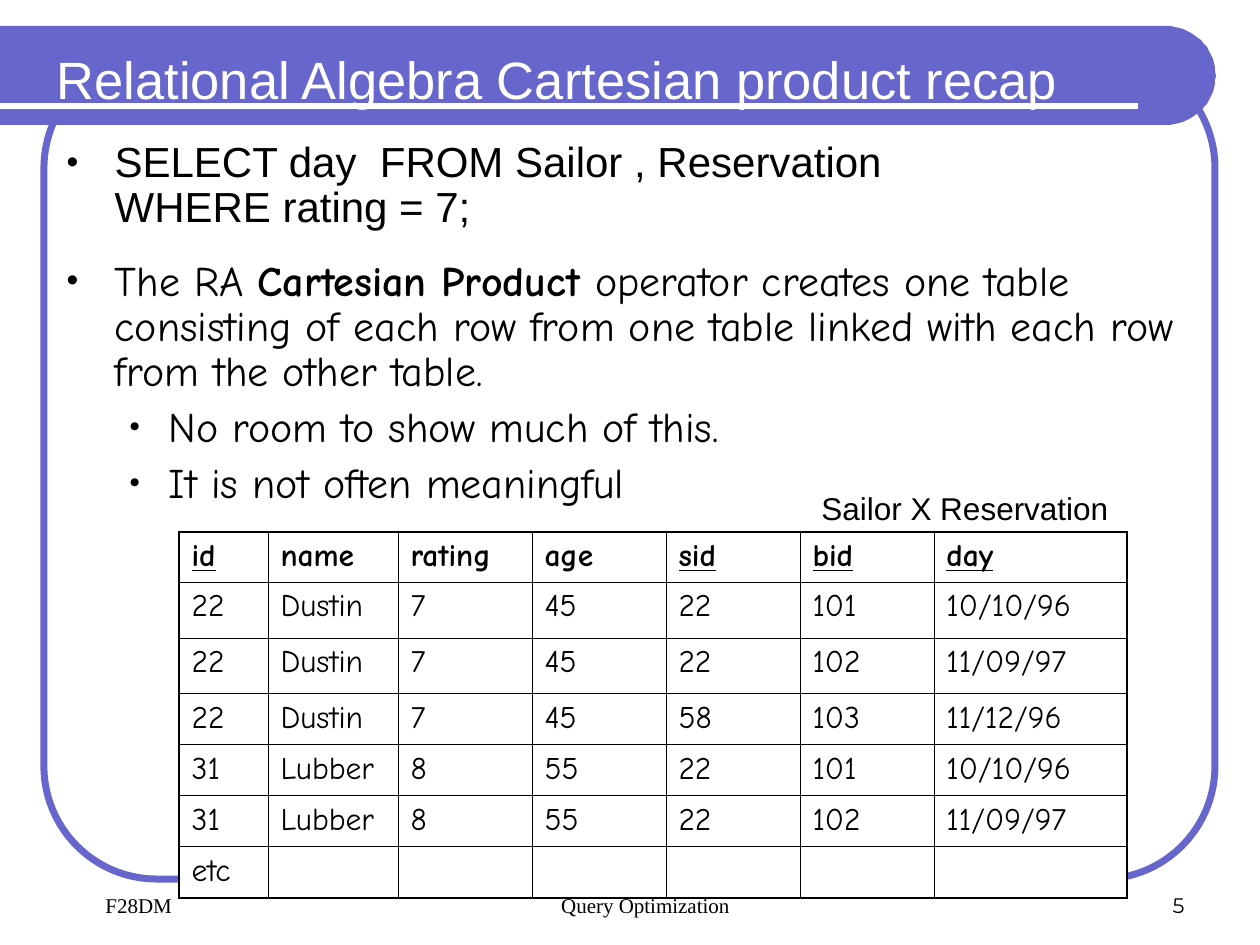
import math

import lxml.etree
import pptx
import pptx.dml.color
import pptx.enum.shapes
import pptx.enum.text
import pptx.oxml.ns
import pptx.util

COLORS = {"violet": "6666CC", "white": "FFFFFF", "black": "000000"}
RGB = {name: pptx.dml.color.RGBColor.from_string(code) for name, code in COLORS.items()}
PX = 914400 / 126
ALIGN = pptx.enum.text.PP_ALIGN
ANCHOR = pptx.enum.text.MSO_ANCHOR
Pt = pptx.util.Pt


def px(*lengths):
    """Turn pixel lengths into a list of EMU."""
    return [round(length * PX) for length in lengths]


def write(paragraph, text, color="black", **font_values):
    """Add text in one format, with a line break at each newline."""
    for number, line in enumerate(text.split("\n")):
        if number:
            paragraph.add_line_break()
        run = paragraph.add_run()
        run.text = line
        run.font.color.rgb = RGB[color]
        for name, value in font_values.items():
            setattr(run.font, name, value)


presentation = pptx.Presentation()
presentation.slide_width, presentation.slide_height = px(1260, 945)
slide = presentation.slides.add_slide(presentation.slide_layouts[1])
shapes = slide.shapes

# Frame, title band and rule
frame = shapes.add_shape(pptx.enum.shapes.MSO_SHAPE.ROUNDED_RECTANGLE, *px(44, 55, 1171, 824))
frame.adjustments[0] = 0.137
frame.shadow.inherit = False
frame.fill.background()
frame.line.color.rgb = RGB["violet"]
frame.line.width = Pt(4)

BAND_TOP, BAND_BOTTOM, ARC_X = 26, 125, 1166
radius = (BAND_BOTTOM - BAND_TOP) / 2
arc = [(ARC_X + radius * math.cos(math.radians(angle)),
        BAND_TOP + radius + radius * math.sin(math.radians(angle)))
       for angle in range(-90, 91, 5)]
outline = shapes.build_freeform(0, BAND_TOP, scale=PX)
outline.add_line_segments(arc + [(0, BAND_BOTTOM)], close=True)
band = outline.convert_to_shape()
band.shadow.inherit = False
band.fill.solid()
band.fill.fore_color.rgb = RGB["violet"]
band.line.fill.background()

rule = shapes.add_connector(pptx.enum.shapes.MSO_CONNECTOR.STRAIGHT, *px(0, 106, 1138, 106))
rule.line.color.rgb = RGB["white"]
rule.line.width = Pt(3)
lxml.etree.SubElement(rule.element.spPr, pptx.oxml.ns.qn("a:effectLst"))

# Title and list, brought in front of the band
title, body = slide.placeholders
for placeholder, place, anchor in (
    (title, (44, 32, 1091, 93), ANCHOR.MIDDLE),
    (body, (54, 135, 1152, 412), ANCHOR.TOP),
):
    shapes.element.append(placeholder.element)
    placeholder.left, placeholder.top, placeholder.width, placeholder.height = px(*place)
    placeholder.text_frame.vertical_anchor = anchor
    placeholder.text_frame.auto_size = pptx.enum.text.MSO_AUTO_SIZE.NONE

heading = title.text_frame.paragraphs[0]
heading.alignment = ALIGN.LEFT
write(heading, "Relational Algebra Cartesian product recap", "white", name="Arial", size=Pt(30))

BULLET_LEVELS = [
    {"margin": 48, "hang": 48, "percent": 80},
    {"margin": 102, "hang": 39, "percent": 70},
]
points = [
    (0, 0, "Arial", [("SELECT day  FROM Sailor , Reservation\nWHERE rating = 7;", False)]),
    (0, 16, "Comic Neue", [
        ("The RA ", False),
        ("Cartesian Product ", True),
        ("operator creates one table consisting of each row from one table "
         "linked with each row from the other table.", False),
    ]),
    (1, 6, "Comic Neue", [("No room to show much of this.", False)]),
    (1, 6, "Comic Neue", [("It is not often meaningful", False)]),
]
for number, (level, gap, font, parts) in enumerate(points):
    point = body.text_frame.add_paragraph() if number else body.text_frame.paragraphs[0]
    for name, value in {"level": level, "line_spacing": 0.9, "space_before": Pt(gap)}.items():
        setattr(point, name, value)
    bullet = BULLET_LEVELS[level]
    properties = point._p.get_or_add_pPr()
    margin, hang = px(bullet["margin"], bullet["hang"])
    properties.set("marL", str(margin))
    properties.set("indent", str(-hang))
    bullet_color = lxml.etree.SubElement(properties, pptx.oxml.ns.qn("a:buClr"))
    lxml.etree.SubElement(bullet_color, pptx.oxml.ns.qn("a:srgbClr"), val=COLORS["black"])
    lxml.etree.SubElement(properties, pptx.oxml.ns.qn("a:buSzPct"), val=str(bullet["percent"] * 1000))
    lxml.etree.SubElement(properties, pptx.oxml.ns.qn("a:buChar"), char="•")
    for text, bold in parts:
        write(point, text, name=font, size=Pt(24), bold=bold)

# Product table
rows = [
    ["id", "name", "rating", "age", "sid", "bid", "day"],
    ["22", "Dustin", "7", "45", "22", "101", "10/10/96"],
    ["22", "Dustin", "7", "45", "22", "102", "11/09/97"],
    ["22", "Dustin", "7", "45", "58", "103", "11/12/96"],
    ["31", "Lubber", "8", "55", "22", "101", "10/10/96"],
    ["31", "Lubber", "8", "55", "22", "102", "11/09/97"],
    ["etc", "", "", "", "", "", ""],
]
KEYS = {"id", "sid", "bid", "day"}
column_widths = [89, 130, 134, 134, 134, 134, 193]
row_heights = [50, 56, 56, 51, 51, 51, 51]
product = shapes.add_table(len(rows), len(column_widths),
                           *px(179, 532, sum(column_widths), sum(row_heights))).table
product.first_row = product.horz_banding = False
for column, width in zip(product.columns, px(*column_widths)):
    column.width = width
for row, height in zip(product.rows, px(*row_heights)):
    row.height = height

for r, values in enumerate(rows):
    for c, value in enumerate(values):
        cell = product.cell(r, c)
        on_edge = {"lnL": c == 0, "lnR": c == len(values) - 1,
                   "lnT": r == 0, "lnB": r == len(rows) - 1}
        cell_properties = cell._tc.get_or_add_tcPr()
        for side, outer in on_edge.items():
            border = lxml.etree.SubElement(cell_properties, pptx.oxml.ns.qn(f"a:{side}"),
                                           w=str(Pt(1.08 if outer else 0.45)))
            border_fill = lxml.etree.SubElement(border, pptx.oxml.ns.qn("a:solidFill"))
            lxml.etree.SubElement(border_fill, pptx.oxml.ns.qn("a:srgbClr"), val=COLORS["black"])
        if r in (4, 5) and c < 4:
            cell.fill.background()
        else:
            cell.fill.solid()
            cell.fill.fore_color.rgb = RGB["white"]
        if value:
            write(cell.text_frame.paragraphs[0], value, name="Comic Neue", size=Pt(18),
                  bold=r == 0, underline=r == 0 and value in KEYS)

# Table caption and footer
labels = [
    ("Sailor X Reservation", (809, 483, 312, 50), "Arial", 18, ALIGN.LEFT, ANCHOR.TOP, 0),
    ("Query Optimization", (431, 861, 399, 63), "Times New Roman", 12, ALIGN.CENTER, ANCHOR.BOTTOM, 30),
    ("5", (903, 861, 294, 63), "Montserrat", 12, ALIGN.RIGHT, ANCHOR.BOTTOM, 0),
    ("F28DM", (63, 861, 294, 63), "Times New Roman", 12, ALIGN.LEFT, ANCHOR.BOTTOM, 30),
]
for text, place, font, size, alignment, anchor, indent in labels:
    label = shapes.add_textbox(*px(*place)).text_frame
    label.word_wrap = anchor == ANCHOR.BOTTOM
    label.vertical_anchor = anchor
    line = label.paragraphs[0]
    line.alignment = alignment
    line._p.get_or_add_pPr().set("marL", str(px(indent)[0]))
    write(line, text, name=font, size=Pt(size))

presentation.save("out.pptx")
